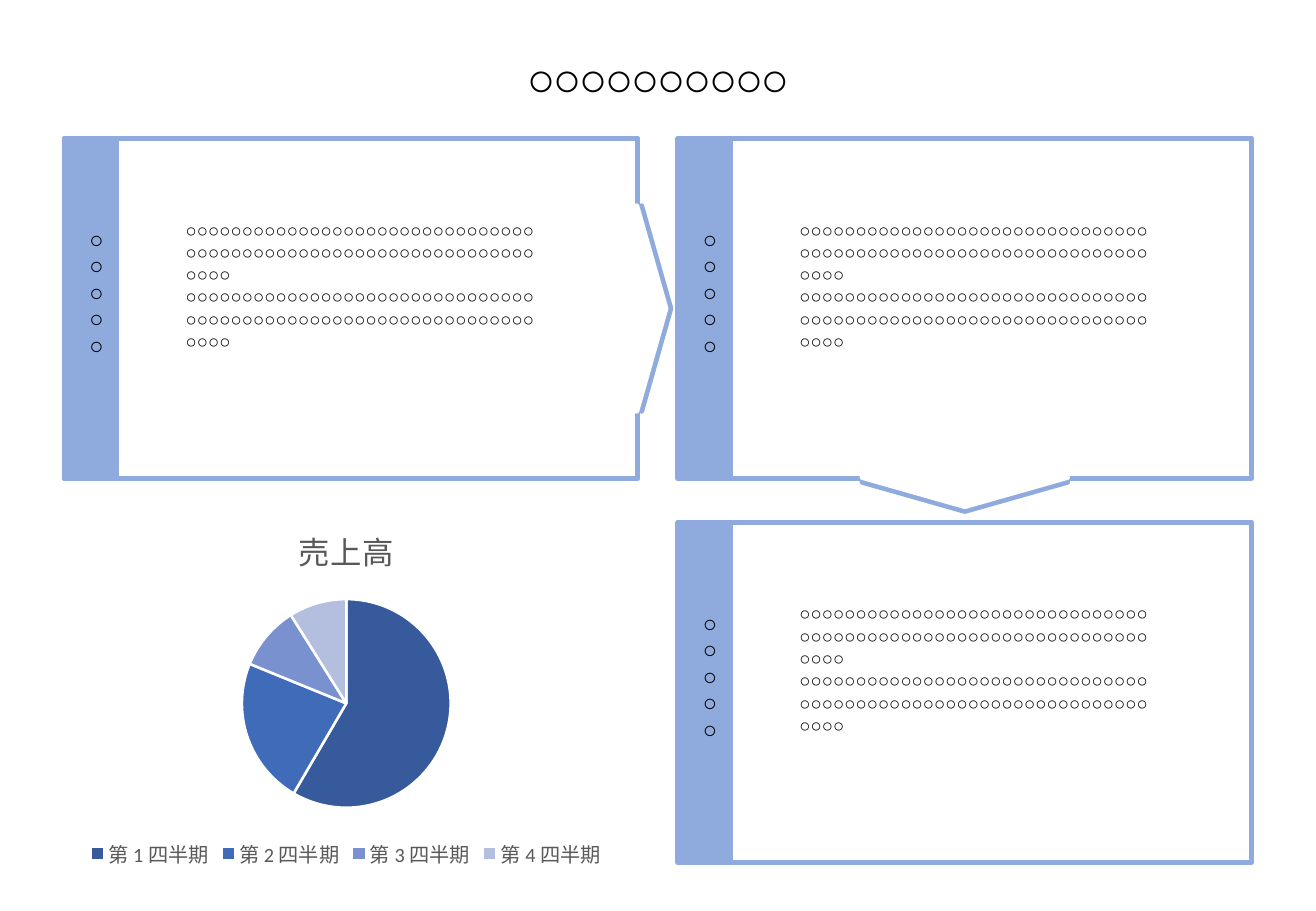
import pptx
import pptx.chart.data
import pptx.dml.color
import pptx.enum.chart
import pptx.enum.shapes
import pptx.enum.text
import pptx.util
from dataclasses import dataclass

Inches, Pt = pptx.util.Inches, pptx.util.Pt
RGB = pptx.dml.color.RGBColor.from_string
Shape = pptx.enum.shapes.MSO_SHAPE
Align = pptx.enum.text.PP_ALIGN


@dataclass(frozen=True)
class Theme:
    accent: str = "8FAADC"
    paper: str = "FFFFFF"
    ink: str = "000000"
    muted: str = "595959"
    slices: tuple = ("365A9B", "406BB8", "7991CE", "B4BEDF")
    font: str = "Arial"
    chart_font: str = "Calibri"
    title: float = 28
    label: float = 14
    body: float = 11
    chart_title: float = 18.6
    chart_text: float = 10
    legend: float = 12
    border: float = 3
    slice_border: float = 1.5


THEME = Theme()
PANEL_W, PANEL_H, TAB_W = 4.72, 2.8, 0.43
LEFT, RIGHT = 0.53, 5.58
TOP, BOTTOM = 1.14, 4.3
ARROW_W, ARROW_H = 1.69, 0.24


def style_font(font, size, color=THEME.ink, name=THEME.font):
    font.size, font.name = Pt(size), name
    font.color.rgb = RGB(color)


def add_text(slide, box, paragraphs, size, align):
    s = slide.shapes.add_textbox(*map(Inches, box))
    tf = s.text_frame
    tf.word_wrap = True
    tf.auto_size = pptx.enum.text.MSO_AUTO_SIZE.SHAPE_TO_FIT_TEXT
    tf.text = "\n".join(paragraphs)
    for p in tf.paragraphs:
        p.alignment = align
        style_font(p.font, size)
    return tf


def add_block(slide, kind, box, fill, line, rotation=0):
    """Add a bordered preset shape; a fill of None leaves it hollow."""
    s = slide.shapes.add_shape(kind, *map(Inches, box))
    s.shadow.inherit = False
    s.rotation = rotation
    if fill:
        s.fill.solid()
        s.fill.fore_color.rgb = RGB(fill)
    else:
        s.fill.background()
    s.line.color.rgb = RGB(line)
    s.line.width = Pt(THEME.border)


def add_title(slide, box):
    tf = add_text(slide, box, ["○" * 10], THEME.title, Align.CENTER)
    p = tf.paragraphs[0]
    p.font.bold = True
    p.runs[0].font._element.set("spc", "-150")


def add_panel(slide, x, y):
    """Add a framed panel with a vertical label tab and two paragraphs."""
    add_block(slide, Shape.RECTANGLE, (x, y, PANEL_W, PANEL_H), THEME.paper, THEME.accent)
    add_block(slide, Shape.RECTANGLE, (x, y, TAB_W, PANEL_H), THEME.accent, THEME.accent)
    label = add_text(slide, (x, y + 0.64, 0.44, 1.53), ["○" * 5], THEME.label, Align.CENTER)
    label._txBody.bodyPr.set("vert", "eaVert")
    add_text(slide, (x + 0.9, y + 0.61, 3.12, 1.58), ["○" * 66] * 2, THEME.body, Align.JUSTIFY)


def add_pointer(slide, x, y, dx, dy):
    """Open the panel border at (x, y) into a pointer along (dx, dy)."""
    rotation = 90 if dx else 180
    for offset, fill, line in ((0.15, None, THEME.accent), (0.11, THEME.paper, THEME.paper)):
        box = (x + dx * offset - ARROW_W / 2, y + dy * offset - ARROW_H / 2, ARROW_W, ARROW_H)
        add_block(slide, Shape.ISOSCELES_TRIANGLE, box, fill, line, rotation)


def add_sales_chart(slide, box):
    data = pptx.chart.data.CategoryChartData()
    data.categories = [f"第 {n} 四半期" for n in range(1, 5)]
    data.add_series("売上高", (59, 23, 10, 9))
    chart = slide.shapes.add_chart(
        pptx.enum.chart.XL_CHART_TYPE.PIE, *map(Inches, box), data).chart
    style_font(chart.font, THEME.chart_text, name=THEME.chart_font)

    chart.has_title = True
    chart.chart_title.include_in_layout = False
    p = chart.chart_title.text_frame.paragraphs[0]
    p.text = "売上高"
    style_font(p.font, THEME.chart_title, THEME.muted, THEME.chart_font)
    p.font.bold = False

    chart.has_legend = True
    chart.legend.position = pptx.enum.chart.XL_LEGEND_POSITION.BOTTOM
    chart.legend.include_in_layout = False
    style_font(chart.legend.font, THEME.legend, THEME.muted, THEME.chart_font)

    plot = chart.plots[0]
    plot.vary_by_categories = True
    for i, color in enumerate(THEME.slices):
        fmt = plot.series[0].points[i].format
        fmt.fill.solid()
        fmt.fill.fore_color.rgb = RGB(color)
        fmt.line.color.rgb = RGB(THEME.paper)
        fmt.line.width = Pt(THEME.slice_border)


def main():
    prs = pptx.Presentation()
    prs.slide_width, prs.slide_height = Inches(10.83), Inches(7.5)
    slide = prs.slides.add_slide(prs.slide_layouts[6])
    add_title(slide, (1.54, 0.36, 7.75, 0.57))
    add_panel(slide, LEFT, TOP)
    add_pointer(slide, LEFT + PANEL_W, TOP + PANEL_H / 2, 1, 0)
    add_panel(slide, RIGHT, TOP)
    add_pointer(slide, RIGHT + PANEL_W / 2, TOP + PANEL_H, 0, 1)
    add_panel(slide, RIGHT, BOTTOM)
    add_sales_chart(slide, (0.57, 4.15, 4.56, 3.04))
    prs.save("out.pptx")


if __name__ == "__main__":
    main()
